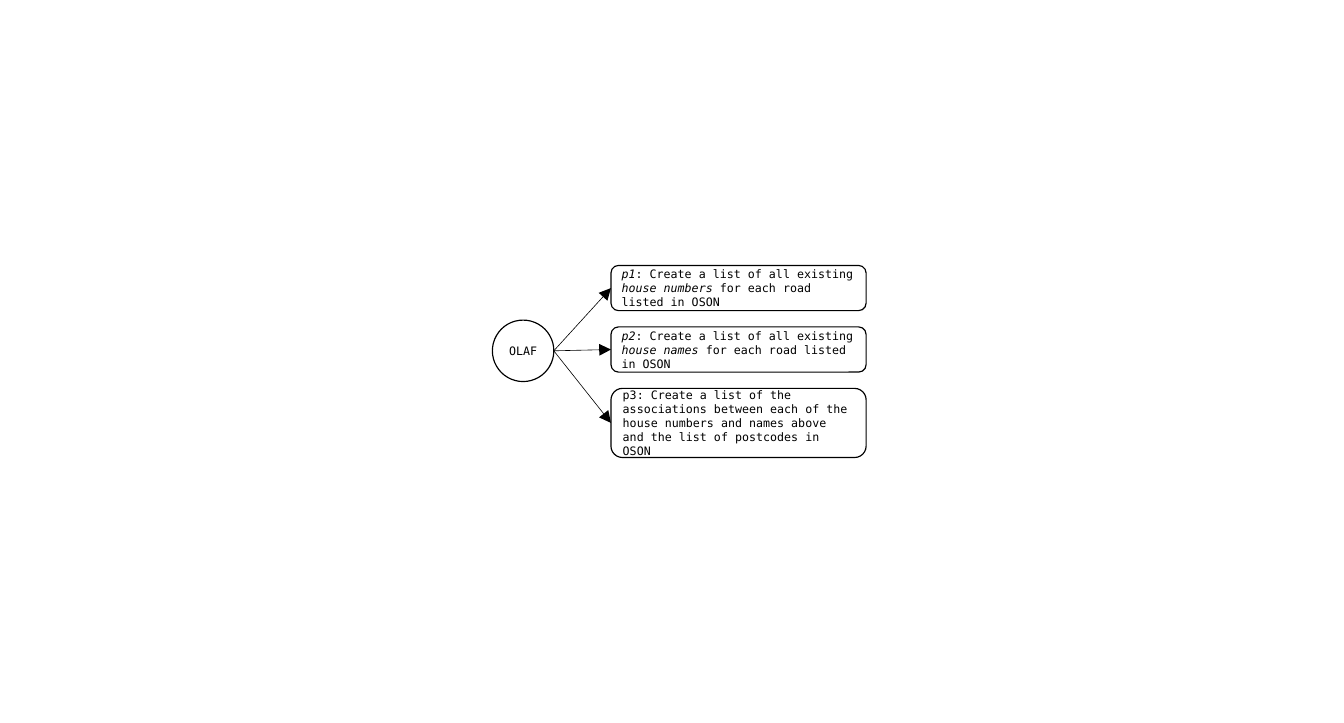
from lxml.etree import SubElement
from pptx import Presentation
from pptx.dml.color import RGBColor
from pptx.enum.shapes import MSO_CONNECTOR, MSO_SHAPE
from pptx.enum.text import MSO_ANCHOR, PP_ALIGN
from pptx.oxml.ns import qn
from pptx.util import Pt

PX = 9144  # 100 px to the inch
BLACK = RGBColor(0, 0, 0)
WHITE = RGBColor(255, 255, 255)
LEFT, WIDE = 716, 299

# top, height, runs as (text, italic)
GOALS = [
    (311, 53, [("p1", True), (": Create a list of all existing ", False),
               ("house numbers ", True), ("for each road listed in OSON", False)]),
    (383, 53, [("p2", True), (": Create a list of all existing ", False),
               ("house names ", True), ("for each road listed in OSON", False)]),
    (455, 81, [("p3: Create a list of the associations between each of the house "
                "numbers and names above and the list of postcodes in OSON", False)]),
]


def add_node(kind, left, top, width, height, runs, align):
    node = slide.shapes.add_shape(kind, left * PX, top * PX, width * PX, height * PX)
    node.shadow.inherit = False
    node.fill.solid()
    node.fill.fore_color.rgb = WHITE
    node.line.color.rgb = BLACK
    node.line.width = Pt(1)
    frame = node.text_frame
    frame.word_wrap = True
    frame.vertical_anchor = MSO_ANCHOR.MIDDLE
    para = frame.paragraphs[0]
    para.alignment = align
    para.font.name = "DejaVu Sans Mono"
    para.font.size = Pt(9.8)
    para.font.color.rgb = BLACK
    for text, slant in runs:
        run = para.add_run()
        run.text = text
        if slant:
            run.font.italic = True
    return node


def add_arrow(start, goal):
    """Join the right side of start to the left side of goal."""
    x = start.left + start.width
    y = start.top + start.height // 2
    arrow = slide.shapes.add_connector(MSO_CONNECTOR.STRAIGHT, x, y, x, y)
    arrow.end_connect(goal, 1)
    arrow.line.color.rgb = BLACK
    arrow.line.width = Pt(0.5)
    SubElement(arrow.line._get_or_add_ln(), qn("a:tailEnd"), type="triangle", w="lg", len="lg")
    SubElement(arrow._element.spPr, qn("a:effectLst"))


deck = Presentation()
deck.slide_width = 1575 * PX
deck.slide_height = 847 * PX
slide = deck.slides.add_slide(deck.slide_layouts[6])

agent = add_node(MSO_SHAPE.OVAL, 577, 375, 72, 72, [("OLAF", False)], PP_ALIGN.CENTER)
frame = agent.text_frame
frame.margin_left = frame.margin_right = frame.margin_top = frame.margin_bottom = 0

boxes = [add_node(MSO_SHAPE.ROUNDED_RECTANGLE, LEFT, top, WIDE, height, runs, PP_ALIGN.LEFT)
         for top, height, runs in GOALS]
for box in boxes:
    add_arrow(agent, box)

deck.save("out.pptx")
